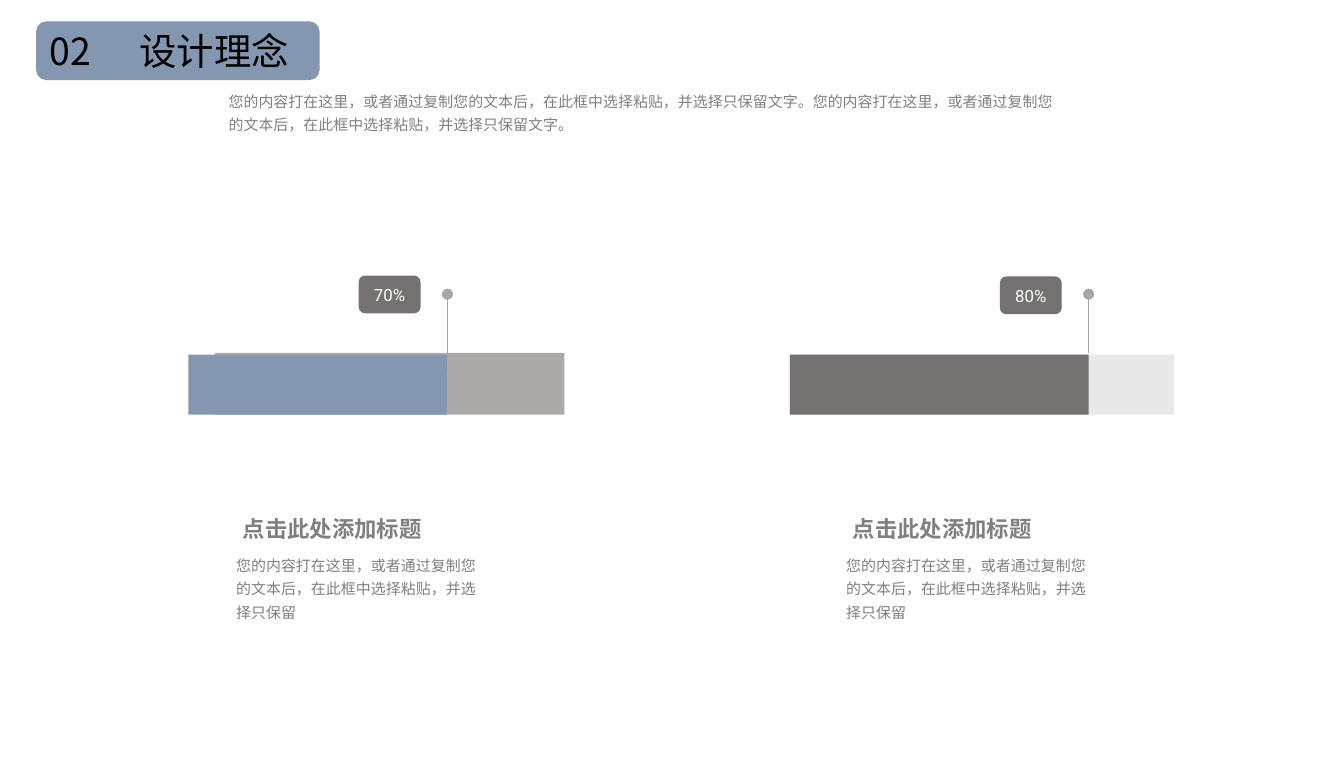
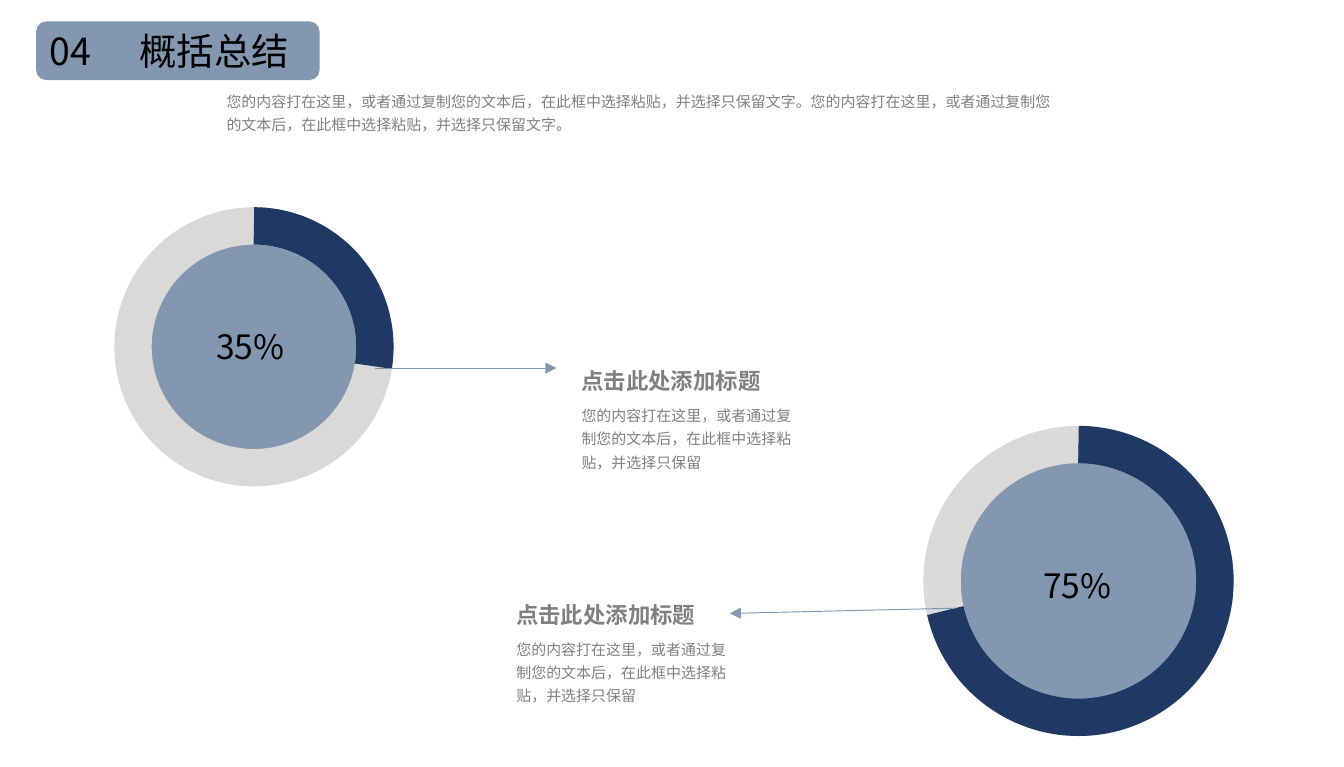
from dataclasses import dataclass

from lxml import etree
from pptx import Presentation
from pptx.dml.color import RGBColor
from pptx.enum.shapes import MSO_CONNECTOR, MSO_SHAPE
from pptx.enum.text import MSO_ANCHOR, MSO_AUTO_SIZE, PP_ALIGN
from pptx.oxml.ns import qn
from pptx.util import Pt

RECTANGLE = MSO_SHAPE.RECTANGLE
ROUNDED = MSO_SHAPE.ROUNDED_RECTANGLE
OVAL = MSO_SHAPE.OVAL
ARC = MSO_SHAPE.ARC
STRAIGHT = MSO_CONNECTOR.STRAIGHT
LEFT, CENTER = PP_ALIGN.LEFT, PP_ALIGN.CENTER
TOP, MIDDLE = MSO_ANCHOR.TOP, MSO_ANCHOR.MIDDLE
GROW = MSO_AUTO_SIZE.SHAPE_TO_FIT_TEXT

SENTENCE = "您的内容打在这里，或者通过复制您的文本后，在此框中选择粘贴，并选择只保留"
INTRO = (SENTENCE + "文字。") * 2
HEADING = "点击此处添加标题"


@dataclass(frozen=True)
class Theme:
    font: str = "Noto Sans CJK SC"
    badge_font: str = "Roboto"
    blue: str = "8497B0"
    navy: str = "203864"
    stone: str = "767171"
    silver: str = "D9D9D9"
    stem: str = "A6A6A6"
    body: str = "808080"
    black: str = "000000"
    white: str = "FFFFFF"
    title_size: float = 20
    percent_size: float = 18
    heading_size: float = 12
    badge_size: float = 9
    body_size: float = 8
    ring_width: float = 20
    hairline: float = 0.5


def write_text(frame, text, font, size, color, bold=False, spacing=None,
               align=LEFT, anchor=TOP, wrap=False, insets=(7.2, 3.6)):
    frame.word_wrap = wrap
    frame.auto_size = GROW
    frame.vertical_anchor = anchor
    frame.margin_left = frame.margin_right = Pt(insets[0])
    frame.margin_top = frame.margin_bottom = Pt(insets[1])
    para = frame.paragraphs[0]
    para.alignment = align
    if spacing:
        para.line_spacing = spacing
    span = para.add_run()
    span.text = text
    span.font.name = font
    span.font.size = Pt(size)
    span.font.bold = bold
    span.font.color.rgb = RGBColor.from_string(color)
    etree.SubElement(span.font._element, qn("a:ea"), typeface=font)


class SlideBuilder:
    narrow_insets = (5.4, 2.7)

    def __init__(self, deck, theme):
        self.deck = deck
        self.theme = theme
        self.slide = None

    def start(self, number, title, intro_left):
        theme = self.theme
        self.slide = self.deck.slides.add_slide(self.deck.slide_layouts[6])
        self.shape(ROUNDED, 19.4, 11.5, 151.8, 31.4, fill=theme.blue)
        for text, left, width in ((number, 19.4, 38.2), (title, 67.7, 95)):
            self.text(text, left, 11.5, width, 31.5, size=theme.title_size)
        self.text(INTRO, intro_left, 43.2, 463.7, 31, size=theme.body_size,
                  color=theme.body, spacing=1.3, wrap=True)

    def shape(self, kind, left, top, width, height, fill=None, opacity=None,
              line=None, line_width=None):
        shape = self.slide.shapes.add_shape(
            kind, Pt(left), Pt(top), Pt(width), Pt(height))
        shape.shadow.inherit = False
        if fill:
            shape.fill.solid()
            shape.fill.fore_color.rgb = RGBColor.from_string(fill)
        else:
            shape.fill.background()
        if opacity:
            color = shape.element.spPr.find(".//" + qn("a:srgbClr"))
            etree.SubElement(color, qn("a:alpha"), val=str(opacity * 1000))
        if line:
            shape.line.color.rgb = RGBColor.from_string(line)
            shape.line.width = Pt(line_width)
        else:
            shape.line.fill.background()
        return shape

    def text(self, text, left, top, width, height, **style):
        box = self.slide.shapes.add_textbox(
            Pt(left), Pt(top), Pt(width), Pt(height))
        defaults = {"font": self.theme.font, "color": self.theme.black}
        write_text(box.text_frame, text, **(defaults | style))

    def line(self, start, end, color, **ends):
        connector = self.slide.shapes.add_connector(
            STRAIGHT, *(Pt(value) for value in (*start, *end)))
        connector.line.color.rgb = RGBColor.from_string(color)
        connector.line.width = Pt(self.theme.hairline)
        properties = connector.element.spPr
        outline = properties.find(qn("a:ln"))
        for end_name, kind in ends.items():
            etree.SubElement(outline, qn(f"a:{end_name}"), type=kind)
        etree.SubElement(properties, qn("a:effectLst"))

    def caption(self, heading_at, heading_width, body_at, body_width):
        theme = self.theme
        shared = {"color": theme.body, "wrap": True,
                  "insets": self.narrow_insets}
        self.text(HEADING, *heading_at, heading_width, 27.4,
                  size=theme.heading_size, bold=True, spacing=1.5, **shared)
        self.text(SENTENCE, *body_at, body_width, 43.2,
                  size=theme.body_size, spacing=1.3, **shared)

    def progress_bar(self, percent, track, done, colors, stem_left,
                     stem_bottom, badge_top):
        theme = self.theme
        track_color, done_color = colors
        self.shape(RECTANGLE, *track, fill=track_color, opacity=60)
        self.shape(RECTANGLE, *done, fill=done_color)
        self.line((stem_left, 157.7), (stem_left, stem_bottom), theme.stem,
                  headEnd="oval")
        badge = self.shape(ROUNDED, stem_left - 47.5, badge_top, 33.1, 20.2,
                           fill=theme.stone)
        write_text(badge.text_frame, percent, font=theme.badge_font,
                   size=theme.badge_size, color=theme.white,
                   align=CENTER, anchor=MIDDLE)

    def ring(self, percent, left, top, size, end_angle, label, arc_fill=None):
        theme = self.theme
        frame = (left, top, size, size)
        self.shape(OVAL, *frame, fill=theme.blue, line=theme.silver,
                   line_width=theme.ring_width)
        arc = self.shape(ARC, *frame, fill=arc_fill, line=theme.navy,
                         line_width=theme.ring_width)
        for index, angle in enumerate((270, end_angle)):
            arc.adjustments[index] = angle * 0.6
        self.text(percent, *label, 28.8, size=theme.percent_size)


def build_concept(builder):
    theme = builder.theme
    builder.start("02", "设计理念", 115.4)
    builder.progress_bar(
        "70%", (115.2, 189.2, 187.2, 33.1), (101, 190.1, 138.5, 32.2),
        (theme.stone, theme.blue), 239.7, 199.4, 147.7)
    builder.progress_bar(
        "80%", (423.1, 190.1, 205.9, 32.2), (423.1, 190.1, 160.2, 32.2),
        (theme.silver, theme.stone), 583.2, 189.4, 148.2)
    for left in (121.1, 447.9):
        builder.caption((left + 3.5, 266.4), 187.9, (left, 292.9), 141.8)


def build_summary(builder):
    theme = builder.theme
    builder.start("04", "概括总结", 114.3)
    builder.ring("75%", 504.7, 238.3, 146.2, 167.44, (551.8, 299.5, 51.8),
                 arc_fill=theme.blue)
    builder.ring("35%", 71.3, 121.1, 129.6, 9.25, (108.7, 171.4, 68.4))
    arrows = (((511.9, 326), (391, 328.8)), ((200.9, 197.3), (298.1, 197.3)))
    for start, end in arrows:
        builder.line(start, end, theme.blue, tailEnd="triangle")
    for left, top in ((271.2, 312.2), (306.1, 186.9)):
        builder.caption((left, top), 163.4, (left, top + 25.6), 123.8)


def main():
    deck = Presentation()
    deck.slide_width = Pt(720)
    deck.slide_height = Pt(411.12)
    builder = SlideBuilder(deck, Theme())
    build_concept(builder)
    build_summary(builder)
    deck.save("out.pptx")


if __name__ == "__main__":
    main()
